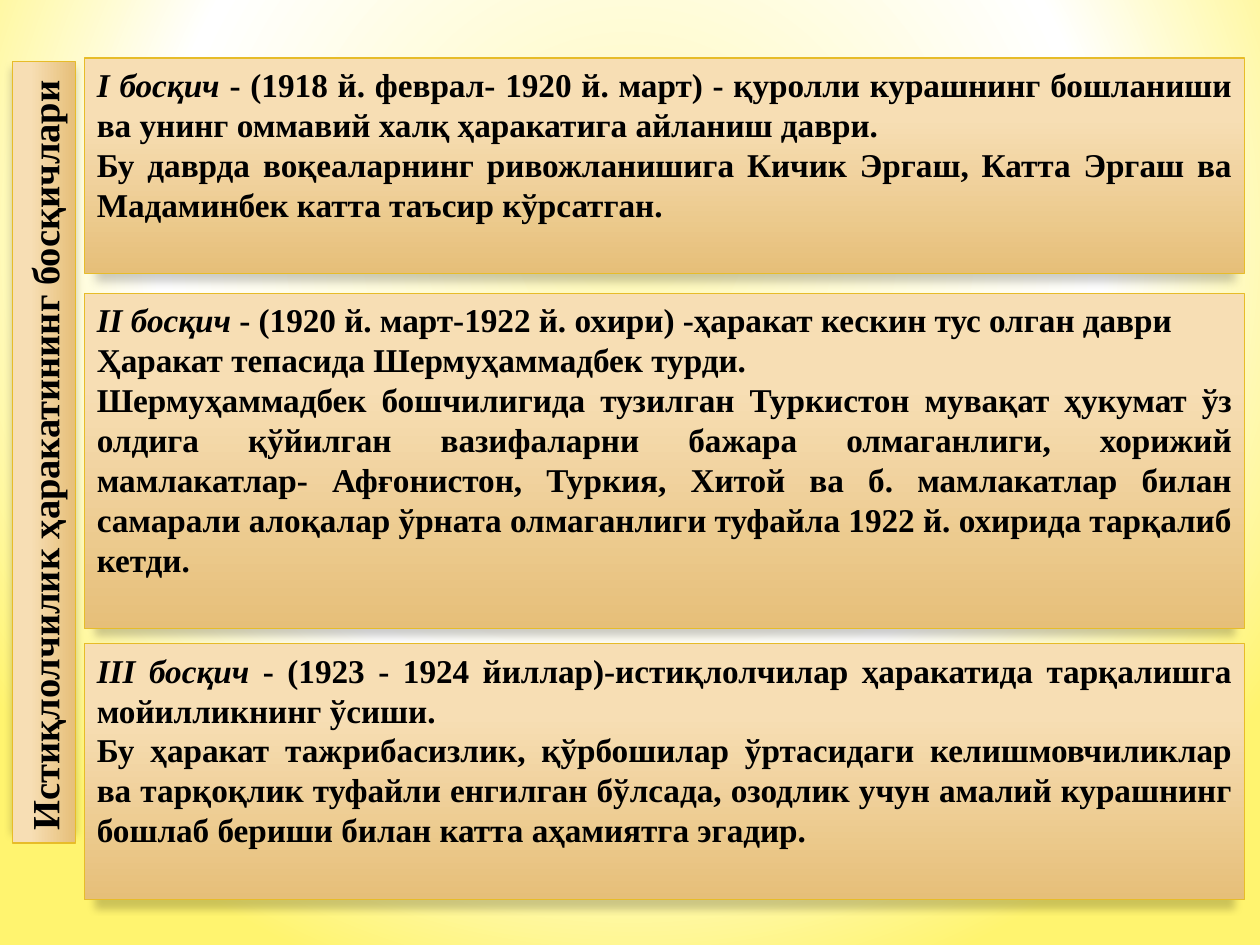
from lxml import etree
from pptx import Presentation
from pptx.dml.color import RGBColor
from pptx.enum.shapes import MSO_SHAPE
from pptx.enum.text import MSO_ANCHOR, MSO_AUTO_SIZE, PP_ALIGN
from pptx.oxml import parse_xml
from pptx.oxml.ns import nsdecls
from pptx.util import Inches, Pt

RECTANGLE = MSO_SHAPE.RECTANGLE
TOP, MIDDLE = MSO_ANCHOR.TOP, MSO_ANCHOR.MIDDLE
NO_AUTOFIT = MSO_AUTO_SIZE.NONE
JUSTIFY = PP_ALIGN.JUSTIFY
TITLE_ONLY = 5

COLORS = {
    "text": "000000",
    "border": "E7BC29",
    "panel_light": "F7DEB4",
    "panel_dark": "E6BF79",
    "glow_inner": "FFF9B5",
    "glow_middle": "FFFFFF",
    "glow_outer": "FFF46F",
}

TITLE = "Истиқлолчилик ҳаракатининг босқичлари"

# Top, height, stage name, rest of the first paragraph, further paragraphs
STAGES = [
    (0.46, 1.71, "I босқич",
     " - (1918 й. феврал- 1920 й. март) - қуролли курашнинг бошланиши ва унинг "
     "оммавий халқ ҳаракатига айланиш даври.",
     ["Бу даврда воқеаларнинг ривожланишига Кичик Эргаш, Катта Эргаш ва "
      "Мадаминбек катта таъсир кўрсатган."]),
    (2.33, 2.66, "II босқич",
     " - (1920 й. март-1922 й. охири) -ҳаракат кескин тус олган даври",
     ["Ҳаракат тепасида Шермуҳаммадбек турди.",
      "Шермуҳаммадбек бошчилигида тузилган Туркистон мувақат ҳукумат ўз олдига "
      "қўйилган вазифаларни бажара олмаганлиги, хорижий мамлакатлар- Афғонистон, "
      "Туркия, Хитой ва б. мамлакатлар билан самарали алоқалар ўрната "
      "олмаганлиги туфайла 1922 й. охирида тарқалиб кетди."]),
    (5.11, 2.03, "III босқич",
     " - (1923 - 1924 йиллар)-истиқлолчилар ҳаракатида тарқалишга "
     "мойилликнинг ўсиши.",
     ["Бу ҳаракат тажрибасизлик, қўрбошилар ўртасидаги келишмовчиликлар ва "
      "тарқоқлик туфайли енгилган бўлсада, озодлик учун амалий курашнинг бошлаб "
      "бериши билан катта аҳамиятга эгадир."]),
]


class StageSlide:
    font_name = "Times New Roman"
    title_size = 22
    body_size = 19

    def __init__(self, presentation):
        layout = presentation.slide_layouts[TITLE_ONLY]
        self.slide = presentation.slides.add_slide(layout)

    def background(self):
        fill = self.slide.background.fill
        fill.gradient()
        gradient = self.slide.background._cSld.bg.bgPr[0]
        stops = zip((0, 60, 100), ("glow_inner", "glow_middle", "glow_outer"))
        stop_xml = "".join(
            f'<a:gs pos="{position * 1000}"><a:srgbClr val="{COLORS[name]}"/></a:gs>'
            for position, name in stops)
        gradient.getparent().replace(gradient, parse_xml(
            f'<a:gradFill {nsdecls("a")} rotWithShape="1"><a:gsLst>{stop_xml}</a:gsLst>'
            '<a:path path="circle">'
            '<a:fillToRect l="20000" t="10000" r="20000" b="60000"/>'
            '</a:path></a:gradFill>'))

    def panel_style(self, shape):
        shape.fill.gradient()
        shape.fill.gradient_angle = 270
        light, dark = shape.fill.gradient_stops
        for stop, position, name in ((light, 0.28, "panel_light"),
                                     (dark, 1, "panel_dark")):
            stop.position = position
            stop.color.rgb = RGBColor.from_string(COLORS[name])
        shape.line.color.rgb = RGBColor.from_string(COLORS["border"])
        shape.line.width = Pt(0.75)
        # Soft shadow, a little smaller than the panel
        shape.shadow.inherit = False
        effects = shape._element.spPr.find("{*}effectLst")
        shadow = parse_xml(
            f'<a:outerShdw {nsdecls("a")} blurRad="{Pt(5)}" dist="{Pt(4)}" '
            'dir="5400000" sx="98000" sy="98000" rotWithShape="0">'
            '<a:srgbClr val="000000"><a:alpha val="20000"/></a:srgbClr>'
            '</a:outerShdw>')
        etree.strip_tags(effects, "*")
        effects.append(shadow)

    def text_style(self, frame, size, anchor, wrap):
        frame.auto_size = NO_AUTOFIT
        frame.word_wrap = wrap
        frame.vertical_anchor = anchor
        for paragraph in frame.paragraphs:
            paragraph.alignment = JUSTIFY
            for run in paragraph.runs:
                run.font.name = self.font_name
                run.font.size = Pt(size)
                run.font.bold = True
                run.font.color.rgb = RGBColor.from_string(COLORS["text"])

    def side_title(self, text):
        title = self.slide.shapes.title
        title.left, title.top = Inches(-2.75), Inches(3.34)
        title.width, title.height = Inches(6.2), Inches(0.5)
        title.rotation = 270
        self.panel_style(title)
        title.text_frame.text = text
        self.text_style(title.text_frame, self.title_size, MIDDLE, False)

    def stage_panel(self, top, height, name, summary, details):
        panel = self.slide.shapes.add_shape(
            RECTANGLE, Inches(0.67), Inches(top), Inches(9.21), Inches(height))
        self.panel_style(panel)
        frame = panel.text_frame
        frame.text = "\n".join([name, *details])
        heading = frame.paragraphs[0]
        heading.runs[0].font.italic = True
        heading.add_run().text = summary
        self.text_style(frame, self.body_size, TOP, True)


def main():
    presentation = Presentation()
    presentation.slide_width, presentation.slide_height = Inches(10), Inches(7.5)
    stage_slide = StageSlide(presentation)
    stage_slide.background()
    stage_slide.side_title(TITLE)
    for stage in reversed(STAGES):
        stage_slide.stage_panel(*stage)
    presentation.save("out.pptx")


if __name__ == "__main__":
    main()
